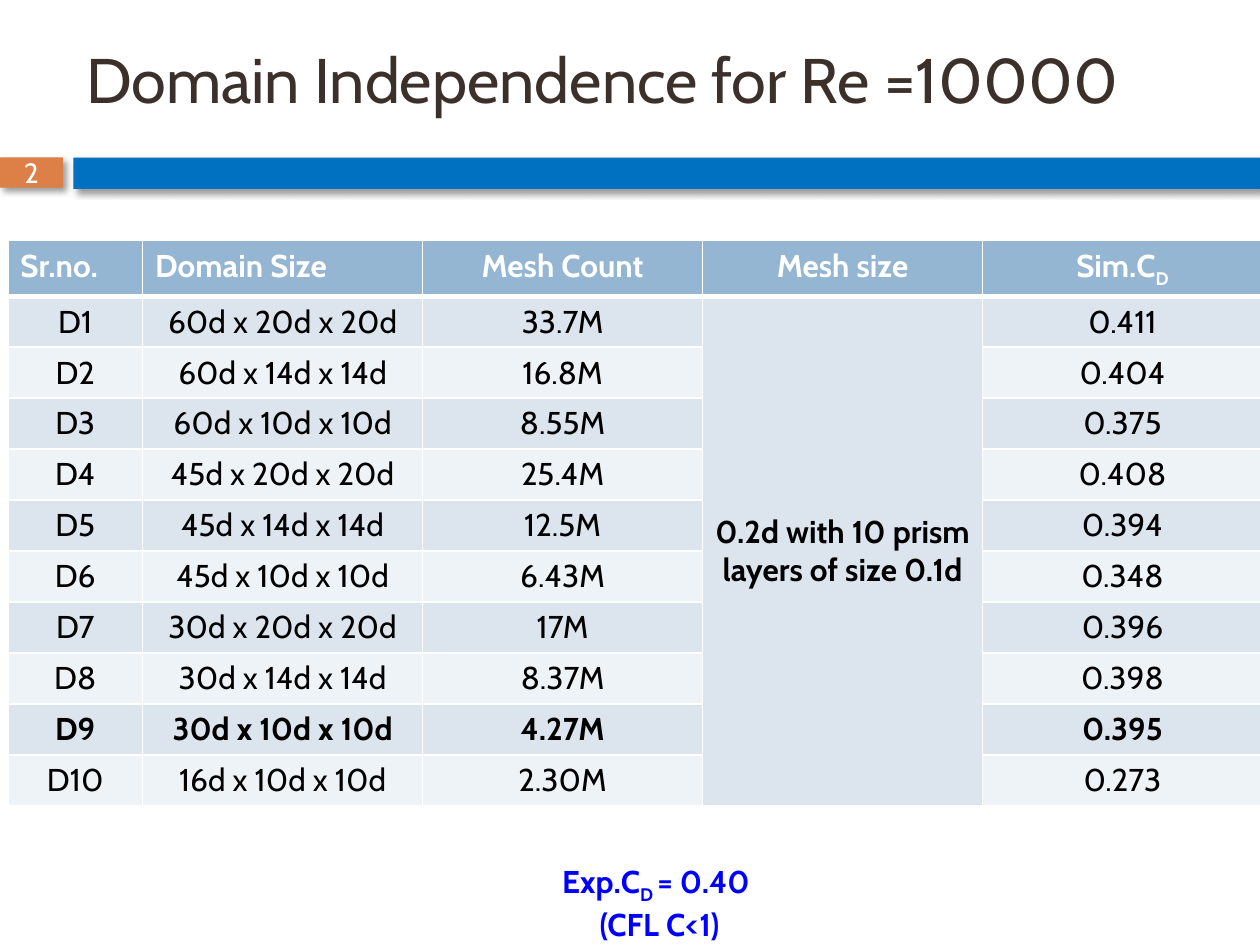
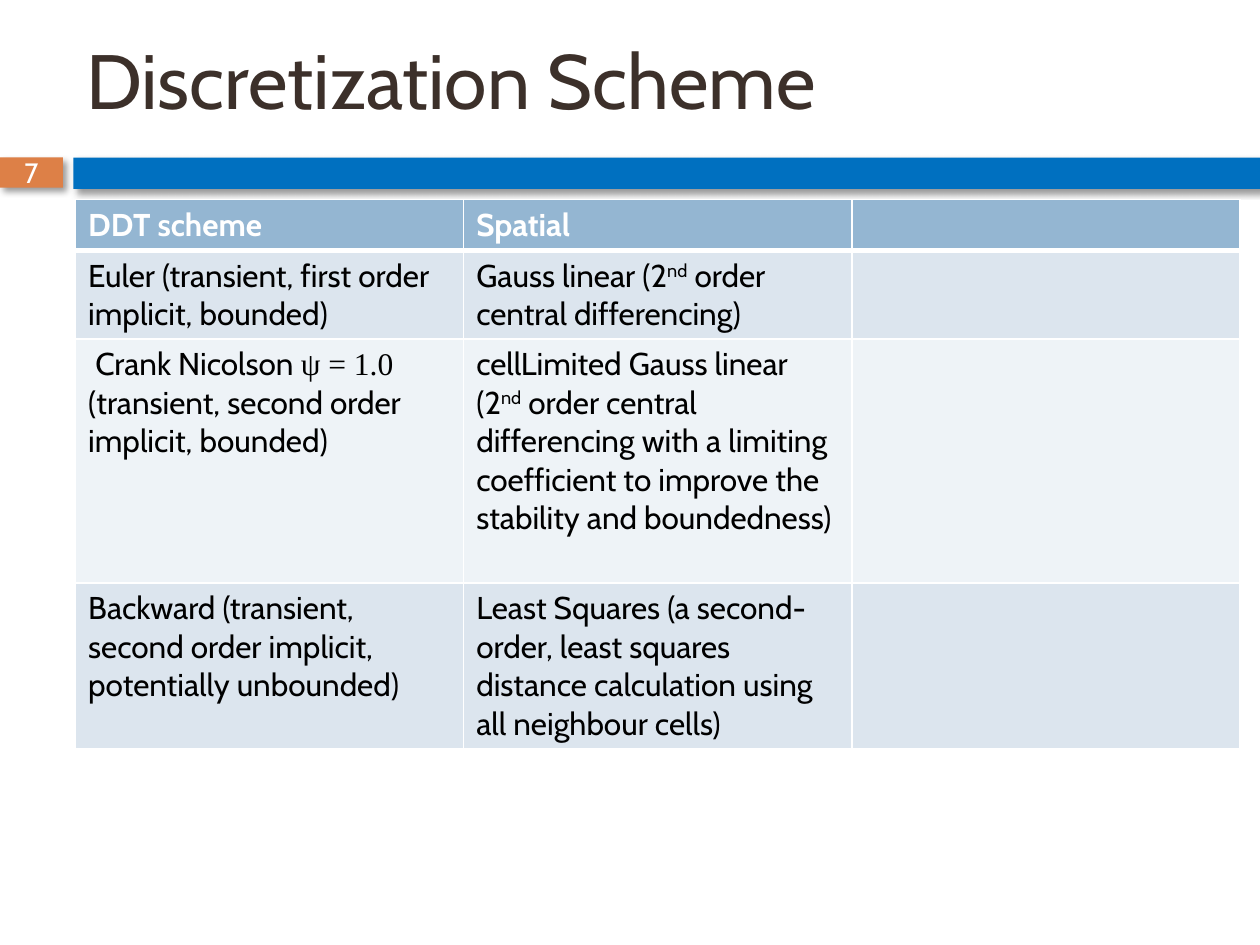
from lxml.etree import SubElement
from pptx import Presentation
from pptx.dml.color import RGBColor
from pptx.enum.shapes import MSO_SHAPE
from pptx.enum.text import MSO_ANCHOR, MSO_AUTO_SIZE, PP_ALIGN
from pptx.oxml import parse_xml
from pptx.oxml.ns import nsdecls, qn
from pptx.util import Pt

SUB, SUPER = -25000, 30000
LEFT, CENTER = PP_ALIGN.LEFT, PP_ALIGN.CENTER
BODY_FONT, SYMBOL_FONT = "Cabin", "Times New Roman"
COLORS = {"title": "3C302A", "number": "DD8047", "band": "0070C0", "header": "94B6D2",
          "odd": "DCE5EE", "even": "EEF3F7", "white": "FFFFFF", "text": "000000", "note": "0000FF"}
BANDS = [("number", 0, 90, 36, 17.3), ("band", 42, 90, 678, 18)]

DOMAINS = [
    ("D1", "60d x 20d x 20d", "33.7M", "0.411"),
    ("D2", "60d x 14d x 14d", "16.8M", "0.404"),
    ("D3", "60d x 10d x 10d", "8.55M", "0.375"),
    ("D4", "45d x 20d x 20d", "25.4M", "0.408"),
    ("D5", "45d x 14d x 14d", "12.5M", "0.394"),
    ("D6", "45d x 10d x 10d", "6.43M", "0.348"),
    ("D7", "30d x 20d x 20d", "17M", "0.396"),
    ("D8", "30d x 14d x 14d", "8.37M", "0.398"),
    ("D9", "30d x 10d x 10d", "4.27M", "0.395"),
    ("D10", "16d x 10d x 10d", "2.30M", "0.273"),
]
DOMAIN_HEADER = ["Sr.no.", "Domain Size", "Mesh Count", "Mesh size", ["Sim.C", ("D", SUB)]]
BEST_DOMAIN = "D9"
MESH_COLUMN = 3
MESH_SIZE = "0.2d with 10 prism layers of size 0.1d"
NOTE = [["Exp.C", ("D ", SUB), "= 0.40"], " (CFL C<1)"]

SCHEMES = [
    ["DDT scheme", "Spatial", ""],
    ["Euler (transient, first order implicit, bounded)",
     ["Gauss linear (2", ("nd", SUPER), " order central differencing)"], ""],
    [["\u00a0Crank Nicolson ".replace("\u00a0", " "), ("ψ = 1.0", SYMBOL_FONT),
      " (transient, second order implicit, bounded)"],
     ["cellLimited Gauss linear (2", ("nd", SUPER),
      " order central differencing with a limiting coefficient"
      " to improve the stability and boundedness)"], ""],
    ["Backward (transient, second order implicit, potentially unbounded)",
     "Least Squares (a second-order, least squares distance calculation"
     " using all neighbour cells)", ""],
]


def color(value):
    """Turn a hex string into a colour."""
    return RGBColor.from_string(value)


def write(para, content, size, tone, bold=False, align=LEFT):
    """Fill a paragraph with plain, raised, lowered or symbol spans."""
    para.alignment = align
    for part in [content] if isinstance(content, str) else content:
        text, variant = (part, None) if isinstance(part, str) else part
        span = para.add_run()
        span.text = text
        formats = {"name": variant if isinstance(variant, str) else BODY_FONT,
                   "size": Pt(size), "bold": bold}
        for name, value in formats.items():
            setattr(span.font, name, value)
        span.font.color.rgb = color(COLORS[tone])
        if isinstance(variant, int):
            span.font._element.set("baseline", str(variant))


def add_text(page, area, lines, size, tone, bold=False, **frame_format):
    """Place a centred text box."""
    frame = page.shapes.add_textbox(*map(Pt, area)).text_frame
    for name, value in frame_format.items():
        setattr(frame, name, value)
    for index, line in enumerate(lines):
        para = frame.add_paragraph() if index else frame.paragraphs[0]
        write(para, line, size, tone, bold, CENTER)


def add_band(page, tone, *area):
    """Draw one shadowed rectangle under the title."""
    band = page.shapes.add_shape(MSO_SHAPE.RECTANGLE, *map(Pt, area))
    band.shadow.inherit = False
    band.fill.solid()
    band.fill.fore_color.rgb = color(COLORS[tone])
    band.line.fill.background()
    effects = band._element.spPr.find(qn("a:effectLst"))
    effects.append(parse_xml(
        f'<a:outerShdw {nsdecls("a")} blurRad="{Pt(4)}" dist="{Pt(3)}" dir="2700000" rotWithShape="0">'
        '<a:srgbClr val="000000"><a:alpha val="40000"/></a:srgbClr></a:outerShdw>'))


def add_page(deck, title, title_size, number):
    """Start a page with its title, bands and number."""
    page = deck.slides.add_slide(deck.slide_layouts[5])
    for band in BANDS:
        add_band(page, *band)
    heading = page.shapes.title
    for name, value in zip(("left", "top", "width", "height"), (42, 6, 666, 78)):
        setattr(heading, name, Pt(value))
    frame = heading.text_frame
    for name, value in {"vertical_anchor": MSO_ANCHOR.MIDDLE, "word_wrap": True,
                        "auto_size": MSO_AUTO_SIZE.NONE}.items():
        setattr(frame, name, value)
    write(frame.paragraphs[0], title, title_size, "title")
    add_text(page, (0, 89.3, 36, 18.7), [number], 16, "white", word_wrap=True,
             vertical_anchor=MSO_ANCHOR.MIDDLE, margin_top=0, margin_bottom=0)
    return page


def add_borders(cell, row):
    """Give a cell white edges, thicker under the header."""
    properties = cell._tc.get_or_add_tcPr()
    widths = {"lnL": 1, "lnR": 1, "lnT": 3 if row == 1 else 1, "lnB": 1 if row else 3}
    for index, (edge, width) in enumerate(widths.items()):
        line = properties.makeelement(qn(f"a:{edge}"), {"w": str(Pt(width))})
        fill = SubElement(line, qn("a:solidFill"))
        SubElement(fill, qn("a:srgbClr"), val=COLORS["white"])
        properties.insert(index, line)


def add_grid(page, left, top, widths, heights):
    """Add a table with a header, row shades and white edges."""
    area = (left, top, sum(widths), sum(heights))
    table = page.shapes.add_table(len(heights), len(widths), *map(Pt, area)).table
    table.first_row = table.horz_banding = False
    for column, width in zip(table.columns, widths):
        column.width = Pt(width)
    for row, height in enumerate(heights):
        table.rows[row].height = Pt(height)
        shade = ("odd" if row % 2 else "even") if row else "header"
        for cell in table.rows[row].cells:
            cell.fill.solid()
            cell.fill.fore_color.rgb = color(COLORS[shade])
            add_borders(cell, row)
    return table


def write_cell(cell, content, row, bold=False, align=LEFT, anchor=MSO_ANCHOR.TOP):
    """Write one table cell in header or body style."""
    cell.vertical_anchor = anchor
    if content:
        write(cell.text_frame.paragraphs[0], content, 18, "text" if row else "white",
              bold or row == 0, align)


def build_domain_page(deck):
    """Compare the domain sizes."""
    page = add_page(deck, "Domain Independence for Re =10000", 36, "2")
    table = add_grid(page, 4.5, 137.5, [77] + [160] * 4, [31.6] + [29.15] * len(DOMAINS))
    for column, label in enumerate(DOMAIN_HEADER):
        write_cell(table.cell(0, column), label, 0, align=CENTER if column > 1 else LEFT)
    for row, domain in enumerate(DOMAINS, 1):
        for column, value in zip((0, 1, 2, 4), domain):
            anchor = MSO_ANCHOR.TOP if column else MSO_ANCHOR.MIDDLE
            write_cell(table.cell(row, column), value, row, domain[0] == BEST_DOMAIN, CENTER, anchor)
    mesh = table.cell(1, MESH_COLUMN)
    mesh.merge(table.cell(len(DOMAINS), MESH_COLUMN))
    write_cell(mesh, MESH_SIZE, 1, True, CENTER, MSO_ANCHOR.MIDDLE)
    add_text(page, (310.3, 489, 129, 51), NOTE, 18, "note", True,
             word_wrap=False, auto_size=MSO_AUTO_SIZE.SHAPE_TO_FIT_TEXT)


def build_scheme_page(deck):
    """List the discretization schemes."""
    page = add_page(deck, "Discretization Scheme", 44, "7")
    table = add_grid(page, 43.2, 114, [221.8] * 3, [29.2, 50.6, 139.4, 94.8])
    for row, scheme in enumerate(SCHEMES):
        for column, content in enumerate(scheme):
            write_cell(table.cell(row, column), content, row)


def main():
    """Build and save the deck."""
    deck = Presentation()
    deck.slide_width, deck.slide_height = Pt(720), Pt(540)
    build_domain_page(deck)
    build_scheme_page(deck)
    deck.save("out.pptx")


if __name__ == "__main__":
    main()
